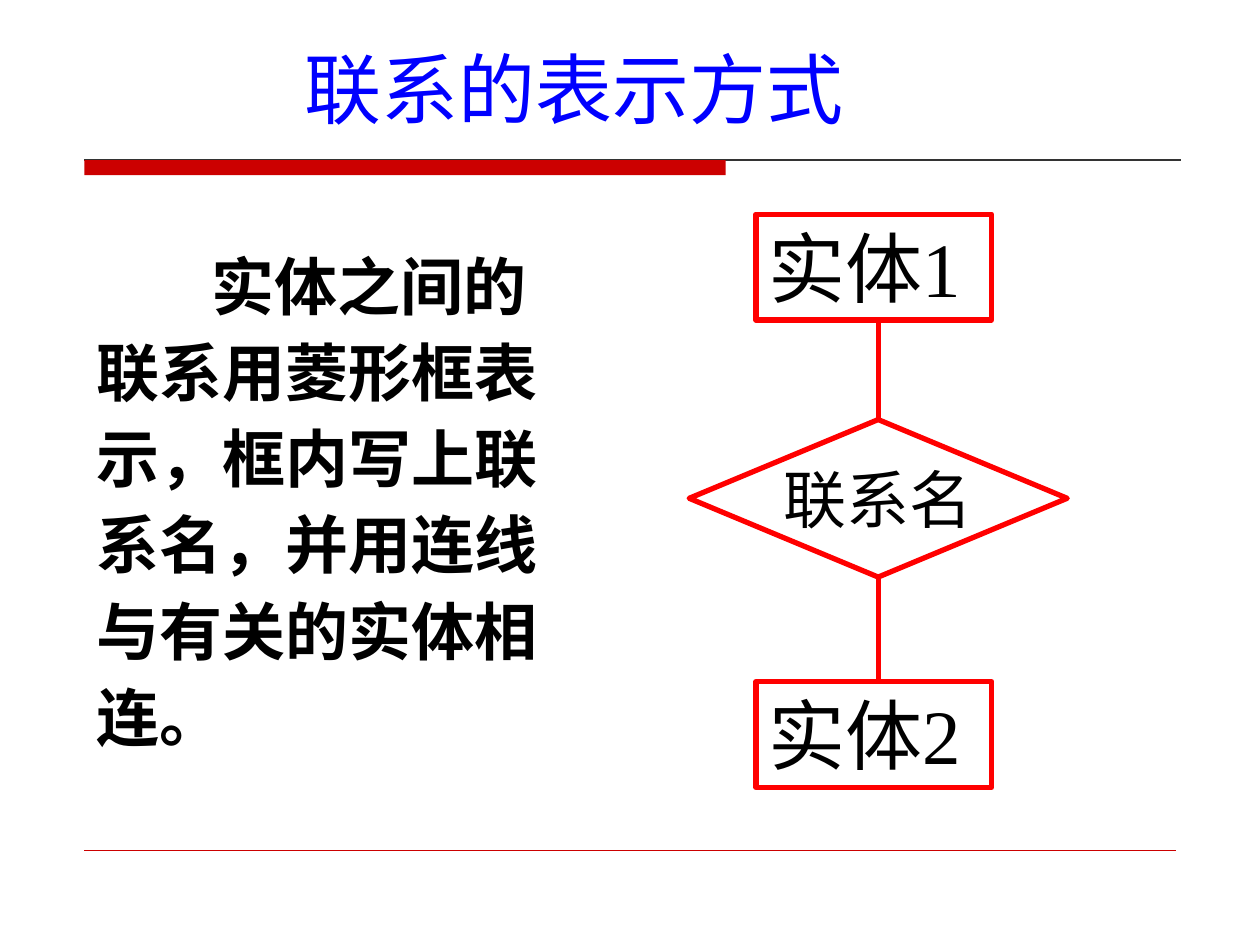
"""Build a slide on how a relationship is drawn between two entities."""
from dataclasses import dataclass

import pptx
import pptx.util
import pptx.dml.color
import pptx.enum.shapes
import pptx.enum.text
import pptx.oxml

Kind = pptx.enum.shapes.MSO_SHAPE
Anchor = pptx.enum.text.MSO_ANCHOR
Align = pptx.enum.text.PP_ALIGN


@dataclass(frozen=True)
class Theme:
    font: str = "Times New Roman"
    ink: str = "000000"
    head: str = "0000FF"
    edge: str = "FF0000"
    bar: str = "CC0000"
    rule: str = "333333"
    large: int = 44
    small: int = 36
    thick: float = 3
    thin: float = 0.75
    hair: float = 0.25


class Deck:
    cols, rows = 100, 75

    def __init__(self, theme):
        self.theme = theme
        self.show = pptx.Presentation()
        self.show.slide_width = pptx.util.Inches(10)
        self.show.slide_height = pptx.util.Inches(7.5)
        self.slide = self.show.slides.add_slide(self.show.slide_layouts[5])
        self.shapes = self.slide.shapes

    def x(self, col):
        return round(self.show.slide_width * col / self.cols)

    def y(self, row):
        return round(self.show.slide_height * row / self.rows)

    def area(self, col, row, wide, high):
        return self.x(col), self.y(row), self.x(wide), self.y(high)

    def tint(self, code):
        return pptx.dml.color.RGBColor.from_string(code)

    def label(self, shape, text, size, color=None, bold=False, wrap=True,
              align=Align.LEFT, anchor=Anchor.TOP):
        frame = shape.text_frame
        frame.word_wrap = wrap
        frame.auto_size = pptx.enum.text.MSO_AUTO_SIZE.NONE
        frame.vertical_anchor = anchor
        para = frame.paragraphs[0]
        para.alignment = align
        run = para.add_run()
        run.text = text
        run.font.name = self.theme.font
        run.font.size = pptx.util.Pt(size)
        run.font.bold = bold
        run.font.color.rgb = self.tint(color or self.theme.ink)
        return para

    def title(self, text, *spot):
        shape = self.shapes.title
        shape.left, shape.top, shape.width, shape.height = self.area(*spot)
        self.label(shape, text, self.theme.large, self.theme.head)

    def body(self, text, indent, space, *spot):
        shape = self.shapes.add_textbox(*self.area(*spot))
        para = self.label(shape, text, self.theme.small, bold=True)
        para.line_spacing = space
        para._p.get_or_add_pPr().set("indent", str(self.x(indent)))

    def bar(self, *spot):
        shape = self.shapes.add_shape(Kind.RECTANGLE, *self.area(*spot))
        shape.shadow.inherit = False
        shape.fill.solid()
        shape.fill.fore_color.rgb = self.tint(self.theme.bar)
        shape.line.fill.background()

    def node(self, kind, text, size, *spot, **style):
        shape = self.shapes.add_shape(kind, *self.area(*spot))
        shape.shadow.inherit = False
        shape.fill.background()
        shape.line.color.rgb = self.tint(self.theme.edge)
        shape.line.width = pptx.util.Pt(self.theme.thick)
        self.label(shape, text, size, wrap=False, **style)
        return shape

    def line(self, start, end, color, width):
        link = self.shapes.add_connector(
            pptx.enum.shapes.MSO_CONNECTOR.STRAIGHT,
            self.x(start[0]), self.y(start[1]), self.x(end[0]), self.y(end[1]))
        link.line.color.rgb = self.tint(color)
        link.line.width = pptx.util.Pt(width)
        link._element.spPr.append(pptx.oxml.parse_xml(
            '<a:effectLst xmlns:a='
            '"http://schemas.openxmlformats.org/drawingml/2006/main"/>'))
        return link


def main():
    theme = Theme()
    deck = Deck(theme)
    left, right = 6.7, 93.7
    deck.line((left, 12.7), (right, 12.7), theme.rule, theme.thin)
    deck.bar(left, 12.7, 50.9, 1.2)
    deck.line((left, 67.5), (93.3, 67.5), theme.bar, theme.hair)
    deck.title("联系的表示方式", 23.2, 2.8, 47.2, 8.4)
    deck.body("实体之间的联系用菱形框表示，框内写上联系名，并用连线与有关的实体相连。",
              9.1, 1.14, left, 18.3, 37.5, 42.1)

    mid, top, high = 69.7, 33.3, 12.5
    wide, tall = 30, 8.4
    bond = deck.node(Kind.FLOWCHART_DECISION, "联系名", theme.small,
                     mid - wide / 2, top, wide, high,
                     align=Align.CENTER, anchor=Anchor.MIDDLE)
    for name, row, side, start, end in (
            ("实体1", 17, 0, top, 17 + tall),
            ("实体2", 54.1, 2, top + high, 54.1)):
        deck.node(Kind.RECTANGLE, name, theme.large, 60, row, 18.7, tall)
        link = deck.line((mid, start), (mid, end), theme.edge, theme.thick)
        link.begin_connect(bond, side)
    deck.show.save("out.pptx")


if __name__ == "__main__":
    main()
